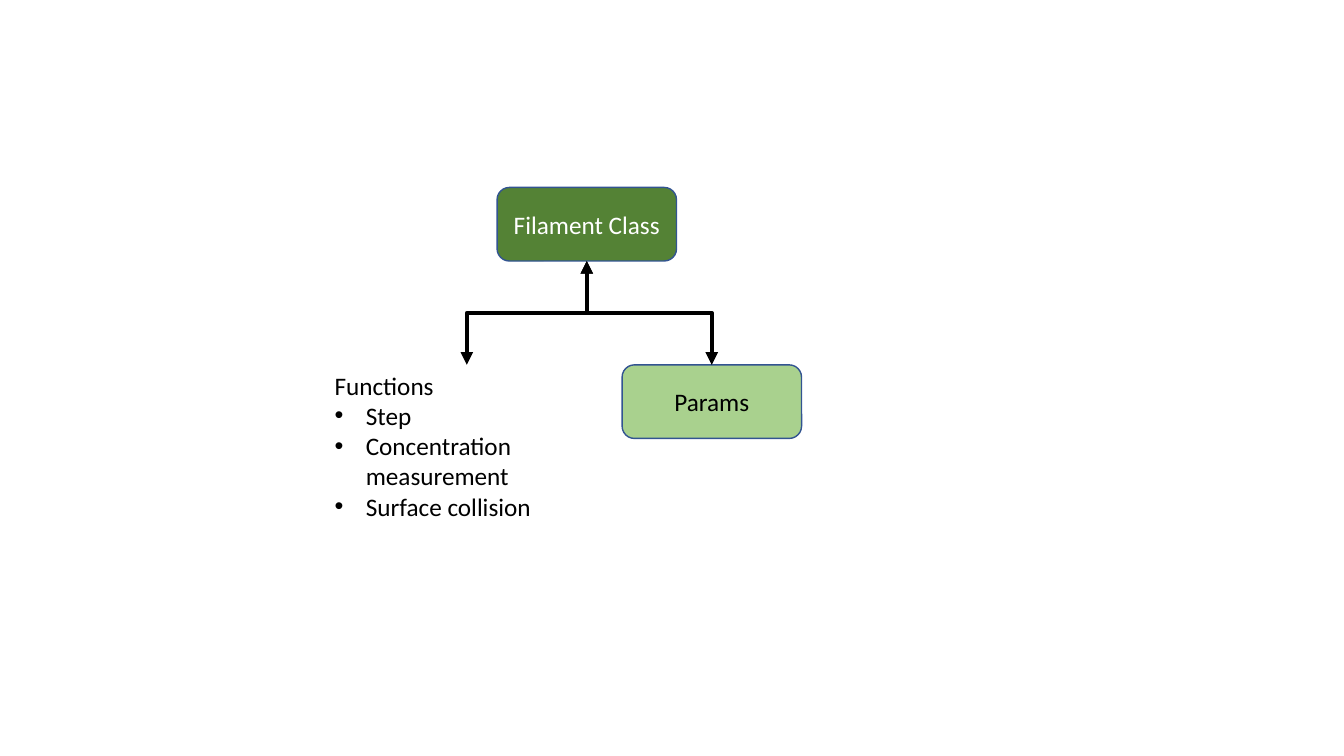
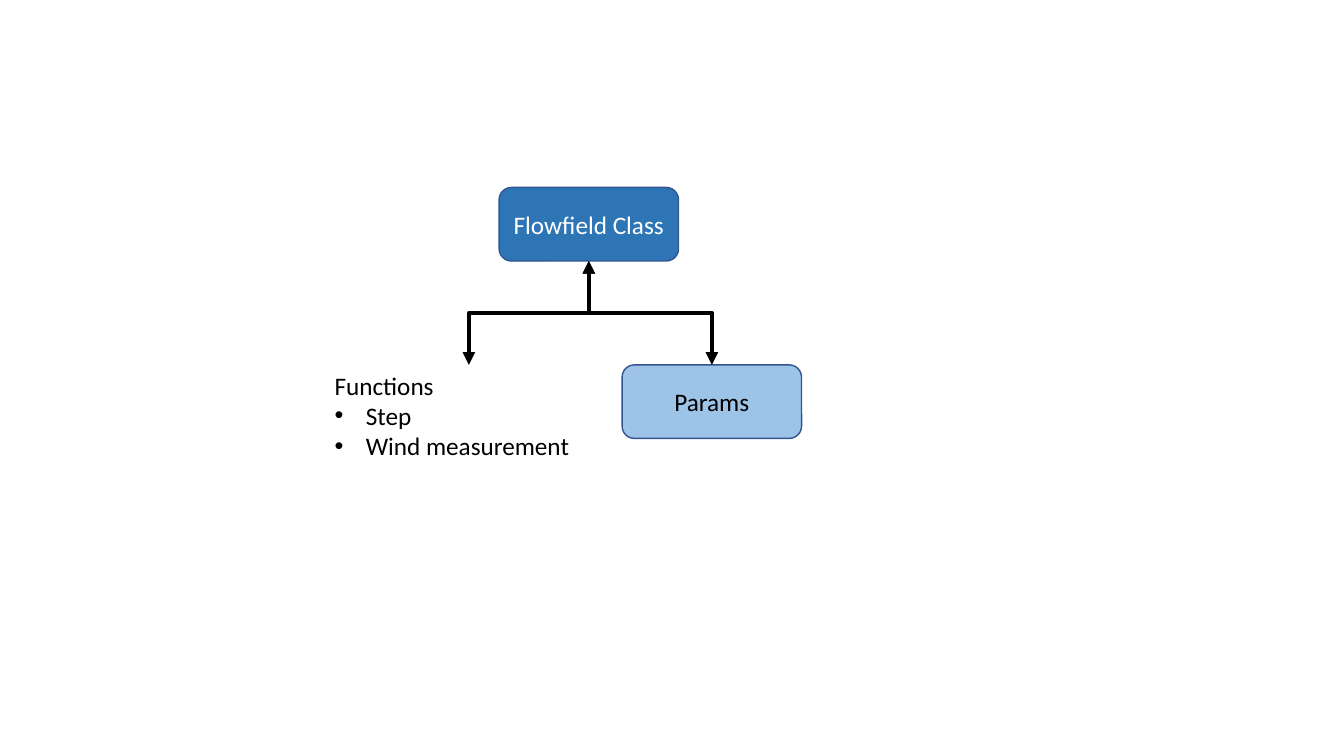
from dataclasses import dataclass

import lxml.etree
import pptx
import pptx.dml.color
import pptx.enum.shapes
import pptx.enum.text
import pptx.oxml.ns
import pptx.presentation
import pptx.shapes.autoshape
import pptx.shapes.connector
import pptx.slide
import pptx.text.text
import pptx.util
from pptx.util import Inches

FONT = "Calibri"
FONT_SIZE = 18
BLACK = "000000"
WHITE = "FFFFFF"
BOX_LINE = "325491"

BOX_WIDTH = 1.78
BOX_HEIGHT = 0.73
CLASS_TOP = 1.86
CLASS_BOTTOM = CLASS_TOP + BOX_HEIGHT
CHILD_TOP = 3.62
PARAMS_LEFT = 6.17
FUNCTIONS_LEFT = 3.22
FUNCTIONS_WIDTH = 2.83
FUNCTIONS_OFFSET = 1.19
BULLET_INDENT = 0.31


@dataclass(frozen=True)
class ClassDiagram:
    name: str
    left: float
    class_fill: str
    params_fill: str
    functions: tuple[str, ...]
    functions_height: float


DIAGRAMS = (
    ClassDiagram("Filament Class", 4.93, "548235", "A9D18E",
                 ("Step", "Concentration measurement", "Surface collision"), 1.62),
    ClassDiagram("Flowfield Class", 4.95, "2E75B6", "9DC3E6",
                 ("Step", "Wind measurement"), 1.01),
)


def rgb(color: str) -> pptx.dml.color.RGBColor:
    return pptx.dml.color.RGBColor.from_string(color)


def add_child(parent: lxml.etree._Element, tag: str, **attributes: str) -> None:
    child = lxml.etree.SubElement(parent, pptx.oxml.ns.qn(tag))
    for name, value in attributes.items():
        child.set(name, value)


def format_runs(paragraph: pptx.text.text._Paragraph, color: str) -> None:
    for run in paragraph.runs:
        run.font.name = FONT
        run.font.size = pptx.util.Pt(FONT_SIZE)
        run.font.color.rgb = rgb(color)


def add_box(slide: pptx.slide.Slide, text: str, left: float, top: float,
            fill: str, text_color: str) -> pptx.shapes.autoshape.Shape:
    box = slide.shapes.add_shape(
        pptx.enum.shapes.MSO_SHAPE.ROUNDED_RECTANGLE,
        Inches(left), Inches(top), Inches(BOX_WIDTH), Inches(BOX_HEIGHT))
    box.shadow.inherit = False
    box.fill.solid()
    box.fill.fore_color.rgb = rgb(fill)
    box.line.color.rgb = rgb(BOX_LINE)
    box.line.width = pptx.util.Pt(1)
    text_frame = box.text_frame
    text_frame.text = text
    text_frame.vertical_anchor = pptx.enum.text.MSO_ANCHOR.MIDDLE
    paragraph = text_frame.paragraphs[0]
    paragraph.alignment = pptx.enum.text.PP_ALIGN.CENTER
    format_runs(paragraph, text_color)
    return box


def add_branch(slide: pptx.slide.Slide, class_box: pptx.shapes.autoshape.Shape,
               start_x: float, end_x: float) -> pptx.shapes.connector.Connector:
    """Draw a double-headed elbow that leaves the class box downwards."""
    connector = slide.shapes.add_connector(
        pptx.enum.shapes.MSO_CONNECTOR.ELBOW,
        Inches(start_x), Inches(CLASS_BOTTOM), Inches(end_x), Inches(CHILD_TOP))
    connector.begin_connect(class_box, 2)
    connector.line.color.rgb = rgb(BLACK)
    connector.line.width = pptx.util.Pt(3)
    properties = connector._element.spPr
    line = connector.line._get_or_add_ln()
    for end in ("a:headEnd", "a:tailEnd"):
        add_child(line, end, type="triangle")
    add_child(properties, "a:effectLst")
    return connector


def turn_branch(connector: pptx.shapes.connector.Connector,
                start_x: float, end_x: float) -> None:
    """Rotate the elbow so that its outer segments are vertical."""
    drop, reach = CHILD_TOP - CLASS_BOTTOM, abs(end_x - start_x)
    center_x, center_y = (start_x + end_x) / 2, (CLASS_BOTTOM + CHILD_TOP) / 2
    to_right = end_x > start_x
    connector.left = Inches(center_x - drop / 2)
    connector.top = Inches(center_y - reach / 2)
    connector.width = Inches(drop)
    connector.height = Inches(reach)
    connector.rotation = 270 if to_right else 90
    connector._element.spPr.xfrm.flipH = to_right


def add_functions(slide: pptx.slide.Slide, diagram: ClassDiagram) -> None:
    text_box = slide.shapes.add_textbox(
        Inches(FUNCTIONS_LEFT), Inches(CHILD_TOP),
        Inches(FUNCTIONS_WIDTH), Inches(diagram.functions_height))
    text_frame = text_box.text_frame
    text_frame.word_wrap = True
    text_frame.auto_size = pptx.enum.text.MSO_AUTO_SIZE.SHAPE_TO_FIT_TEXT
    text_frame.text = "\n".join(("Functions", *diagram.functions))
    for paragraph in text_frame.paragraphs:
        format_runs(paragraph, BLACK)
    for paragraph in text_frame.paragraphs[1:]:
        properties = paragraph._p.get_or_add_pPr()
        properties.set("marL", str(Inches(BULLET_INDENT)))
        properties.set("indent", str(-Inches(BULLET_INDENT)))
        add_child(properties, "a:buFont", typeface="Arial")
        add_child(properties, "a:buChar", char="•")


def add_diagram(presentation: pptx.presentation.Presentation,
                diagram: ClassDiagram) -> None:
    slide = presentation.slides.add_slide(presentation.slide_layouts[6])
    class_box = add_box(slide, diagram.name, diagram.left, CLASS_TOP,
                        diagram.class_fill, WHITE)
    params_box = add_box(slide, "Params", PARAMS_LEFT, CHILD_TOP,
                         diagram.params_fill, BLACK)
    class_x = diagram.left + BOX_WIDTH / 2
    functions_x = class_x - FUNCTIONS_OFFSET
    params_x = PARAMS_LEFT + BOX_WIDTH / 2

    functions_branch = add_branch(slide, class_box, class_x, functions_x)
    turn_branch(functions_branch, class_x, functions_x)
    params_branch = add_branch(slide, class_box, class_x, params_x)
    params_branch.end_connect(params_box, 0)
    turn_branch(params_branch, class_x, params_x)
    add_functions(slide, diagram)


def main() -> None:
    presentation = pptx.Presentation()
    presentation.slide_width = Inches(13.33)
    presentation.slide_height = Inches(7.5)
    for diagram in DIAGRAMS:
        add_diagram(presentation, diagram)
    presentation.save("out.pptx")


if __name__ == "__main__":
    main()
